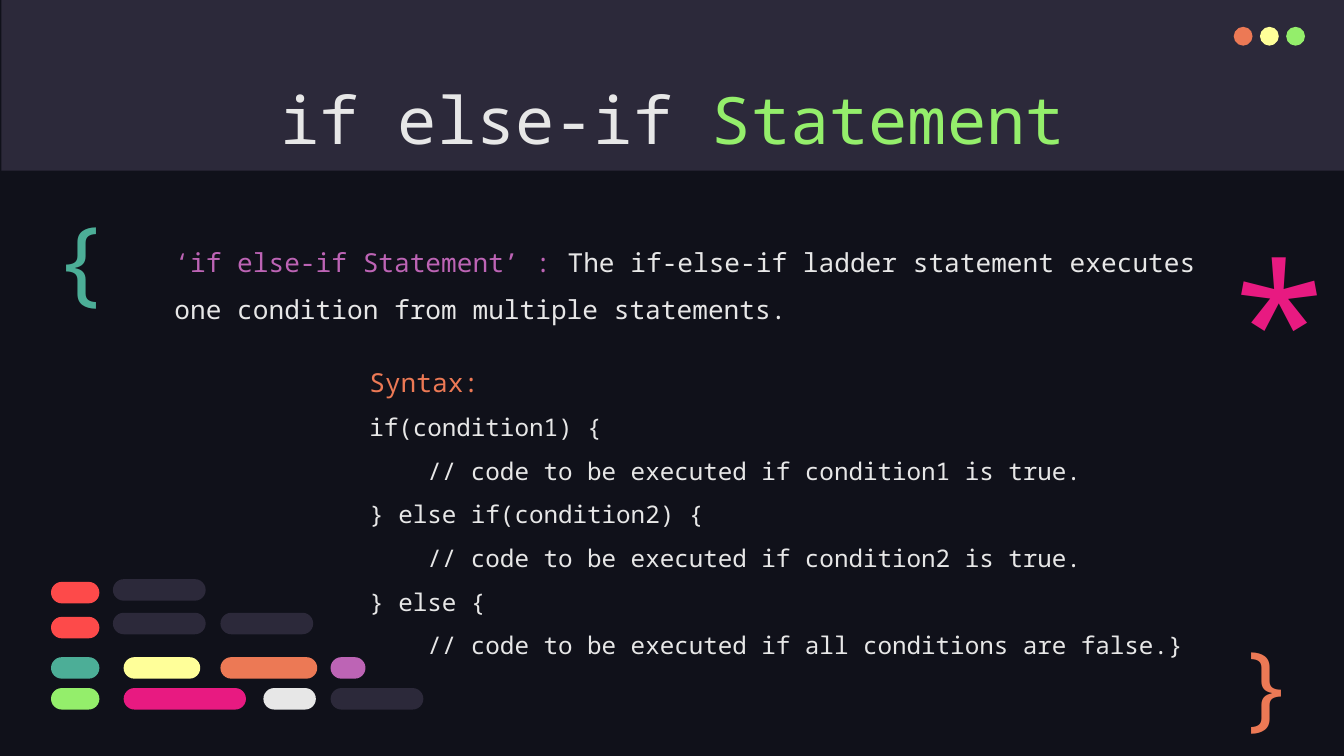
from typing import NamedTuple

from pptx import Presentation
from pptx.dml.color import RGBColor
from pptx.enum import shapes, text
from pptx.util import Inches, Pt

FONT = "Noto Sans Mono"
HUES = {
    "night": "10111A", "slate": "2C293A", "white": "E7E7E7",
    "orange": "EC7955", "yellow": "FFFF99", "green": "94EE6B",
    "teal": "4CAE97", "pink": "E81A81", "purple": "BD64B5", "red": "FD4A4A",
}


class Span(NamedTuple):
    words: str
    hue: str
    size: float


class Line(NamedTuple):
    spans: list[Span]
    gap: float = 1.0


class Box(NamedTuple):
    x: float
    y: float
    w: float
    h: float


class Pill(NamedTuple):
    x: float
    y: float
    w: float
    hue: str


def rgb(hue: str) -> RGBColor:
    return RGBColor.from_string(HUES[hue])


def draw_shape(slide, kind, box: Box, hue: str):
    shape = slide.shapes.add_shape(kind, *map(Inches, box))
    shape.shadow.inherit = False
    shape.fill.solid()
    shape.fill.fore_color.rgb = rgb(hue)
    shape.line.fill.background()
    return shape


def draw_text(slide, box: Box, lines: list[Line],
              align=text.PP_ALIGN.LEFT, anchor=text.MSO_ANCHOR.TOP,
              pad: float = 0.1) -> None:
    frame = slide.shapes.add_textbox(*map(Inches, box)).text_frame
    frame.word_wrap = True
    frame.vertical_anchor = anchor
    frame.margin_left = frame.margin_right = Inches(0.1)
    frame.margin_top = frame.margin_bottom = Inches(pad)
    for i, line in enumerate(lines):
        para = frame.paragraphs[0] if i == 0 else frame.add_paragraph()
        para.alignment = align
        para.line_spacing = line.gap
        for span in line.spans:
            run = para.add_run()
            run.text = span.words
            run.font.name = FONT
            run.font.size = Pt(span.size)
            run.font.color.rgb = rgb(span.hue)


# Widescreen page, 16 by 9
deck = Presentation()
deck.slide_width = Inches(10)
deck.slide_height = Inches(10 * 9 / 16)
slide = deck.slides.add_slide(deck.slide_layouts[6])
slide.background.fill.solid()
slide.background.fill.fore_color.rgb = rgb("night")

# Header band with window dots
draw_shape(slide, shapes.MSO_SHAPE.RECTANGLE, Box(0.01, 0, 10, 1.27), "slate")
for i, hue in enumerate(["orange", "yellow", "green"]):
    draw_shape(slide, shapes.MSO_SHAPE.OVAL,
               Box(9.18 + 0.195 * i, 0.2, 0.14, 0.14), hue)

# Title
draw_text(slide, Box(0.79, 0.49, 8.43, 0.63),
          [Line([Span("if else-if ", "white", 35),
                 Span("Statement", "green", 35)])],
          align=text.PP_ALIGN.CENTER)

# Syntax listing
CODE = """if(condition1) {
    // code to be executed if condition1 is true.
} else if(condition2) {
    // code to be executed if condition2 is true.
} else {
    // code to be executed if all conditions are false.}"""
draw_text(slide, Box(2.65, 2.59, 6.34, 2.55),
          [Line([Span("Syntax:", "orange", 14)], 1.15)]
          + [Line([Span(row, "white", 13)], 1.5) for row in CODE.split("\n")])

# Large symbols
draw_text(slide, Box(9.02, 1.48, 0.57, 0.87), [Line([Span("*", "pink", 96)])])
draw_text(slide, Box(0.3, 1.4, 0.77, 0.95), [Line([Span("{", "teal", 50)])])
draw_text(slide, Box(9.12, 4.66, 0.57, 0.83), [Line([Span("}", "orange", 50)])],
          anchor=text.MSO_ANCHOR.MIDDLE)

# Definition
draw_text(slide, Box(1.2, 1.67, 8.14, 0.77),
          [Line([Span("‘if else-if Statement’ : ", "purple", 14),
                 Span("The if-else-if ladder statement executes one condition "
                      "from multiple statements.", "white", 14)], 1.5)],
          pad=0.05)

# Code-line pills
PILLS = [
    Pill(0.38, 4.33, 0.36, "red"),
    Pill(0.38, 4.59, 0.36, "red"),
    Pill(0.38, 4.89, 0.36, "teal"),
    Pill(0.92, 4.89, 0.57, "yellow"),
    Pill(1.64, 4.89, 0.72, "orange"),
    Pill(2.46, 4.89, 0.26, "purple"),
    Pill(0.38, 5.12, 0.36, "green"),
    Pill(0.92, 5.12, 0.91, "pink"),
    Pill(1.96, 5.12, 0.39, "white"),
    Pill(2.46, 5.12, 0.69, "slate"),
    Pill(0.84, 4.56, 0.69, "slate"),
    Pill(0.84, 4.31, 0.69, "slate"),
    Pill(1.64, 4.56, 0.69, "slate"),
]
for pill in PILLS:
    bar = draw_shape(slide, shapes.MSO_SHAPE.ROUNDED_RECTANGLE,
                     Box(pill.x, pill.y, pill.w, 0.16), pill.hue)
    bar.adjustments[0] = 0.5

deck.save("out.pptx")
